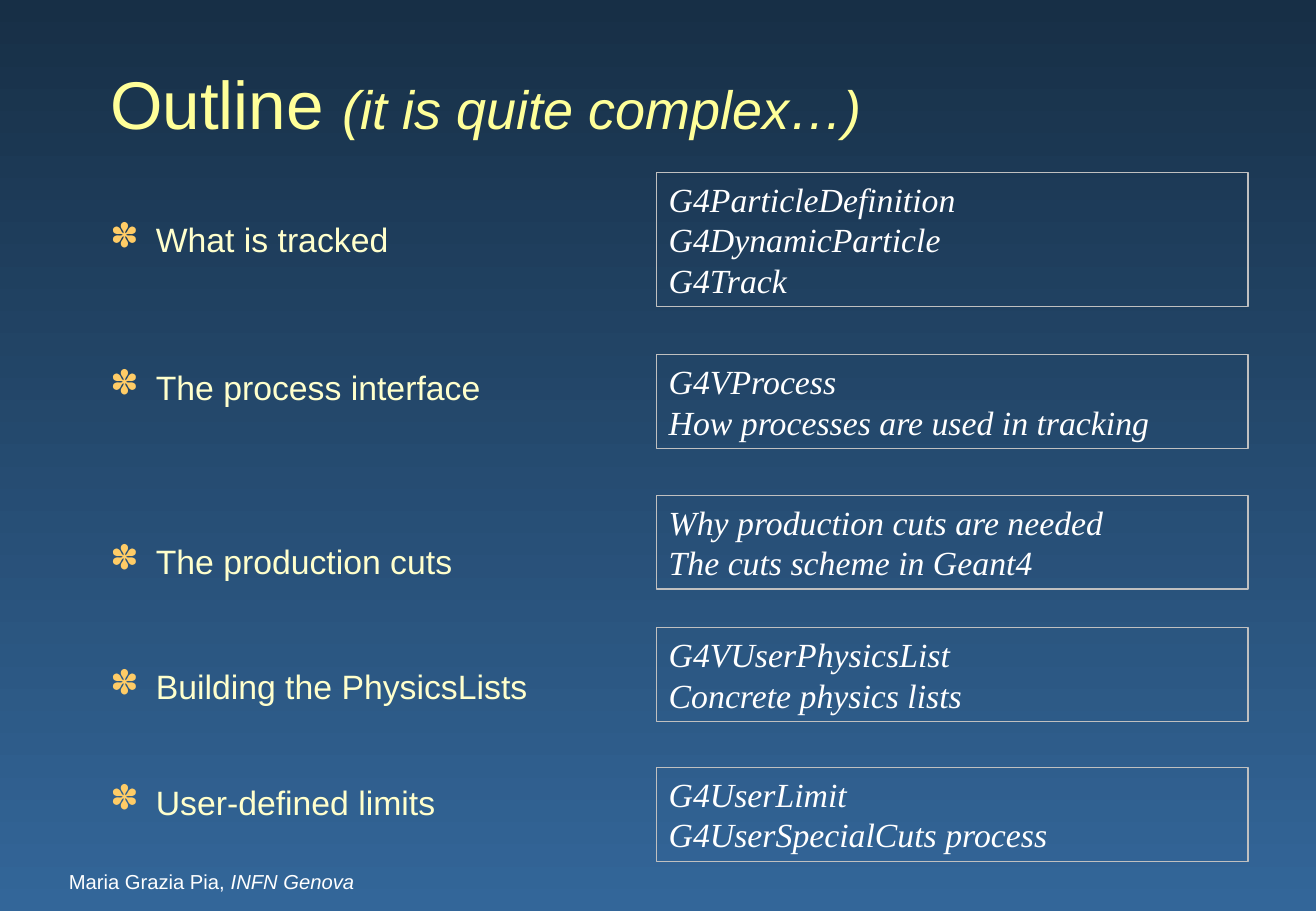
"""Build the outline slide: topics on the left, boxed details on the right."""
from lxml.etree import SubElement
from pptx import Presentation
from pptx.dml.color import RGBColor
from pptx.enum.shapes import MSO_SHAPE
from pptx.enum.text import MSO_ANCHOR, PP_ALIGN
from pptx.oxml.ns import qn
from pptx.util import Cm, Pt


def colour(code):
    return RGBColor.from_string(code)


def style(font, name, size, code):
    font.name, font.size = name, Pt(size)
    font.color.rgb = colour(code)


deck = Presentation()
deck.slide_width, deck.slide_height = Cm(27.53), Cm(19.05)
page = deck.slides.add_slide(deck.slide_layouts[6])

backdrop = page.background.fill
backdrop.gradient()
backdrop.gradient_angle = 270
for stop, code in zip(backdrop.gradient_stops, ("172F46", "336699")):
    stop.color.rgb = colour(code)

headings = [
    (1.19, 18.06, 7.7, 0.76, "FFFFFF", (("Maria Grazia Pia,", 12), (" INFN Genova", 12))),
    (2.06, 0.94, 23.39, 2.39, "FFFF99", (("Outline ", 40), ("(it is quite complex…)", 32))),
]
for left, top, width, height, code, spans in headings:
    box = page.shapes.add_textbox(Cm(left), Cm(top), Cm(width), Cm(height))
    box.text_frame.word_wrap = True
    box.text_frame.vertical_anchor = MSO_ANCHOR.MIDDLE
    para = box.text_frame.paragraphs[0]
    for index, (text, size) in enumerate(spans):
        span = para.add_run()
        span.text = text
        style(span.font, "Arial", size, code)
        span.font.italic = index == 1

topics = [
    ("What is tracked", 0),
    ("The process interface", 63.5),
    ("The production cuts", 79.5),
    ("Building the PhysicsLists", 50),
    ("User-defined limits", 44.5),
]
body = page.shapes.add_textbox(Cm(2.06), Cm(4.45), Cm(11.4), Cm(13.13)).text_frame
body.word_wrap = True
for index, (topic, gap) in enumerate(topics):
    para = body.add_paragraph() if index else body.paragraphs[0]
    para.text = topic
    para.space_before = Pt(gap)
    properties = para._p.get_or_add_pPr()
    properties.set("marL", str(Cm(0.95)))
    properties.set("indent", str(-Cm(0.95)))
    bullet_colour = SubElement(properties, qn("a:buClr"))
    SubElement(bullet_colour, qn("a:srgbClr"), val="FFCC66")
    SubElement(properties, qn("a:buChar"), char="✽")
    style(para.font, "Arial", 20, "FFFFCC")

details = [
    (3.61, ("G4ParticleDefinition", "G4DynamicParticle", "G4Track")),
    (7.42, ("G4VProcess", "How processes are used in tracking")),
    (10.36, ("Why production cuts are needed", "The cuts scheme in Geant4")),
    (13.13, ("G4VUserPhysicsList", "Concrete physics lists")),
    (16.05, ("G4UserLimit", "G4UserSpecialCuts process")),
]
for top, lines in details:
    height = 0.28 + 0.84 * len(lines)
    box = page.shapes.add_shape(MSO_SHAPE.RECTANGLE, Cm(13.74), Cm(top), Cm(12.37), Cm(height))
    box.shadow.inherit = False
    box.fill.background()
    box.line.color.rgb = colour("C0C0C0")
    box.line.width = Pt(0.75)
    frame = box.text_frame
    frame.word_wrap = True
    frame.vertical_anchor = MSO_ANCHOR.TOP
    frame.text = "\n".join(lines)
    for para in frame.paragraphs:
        para.alignment = PP_ALIGN.LEFT
        style(para.font, "Times New Roman", 20, "FFFFFF")
        para.font.italic = True

deck.save("out.pptx")
